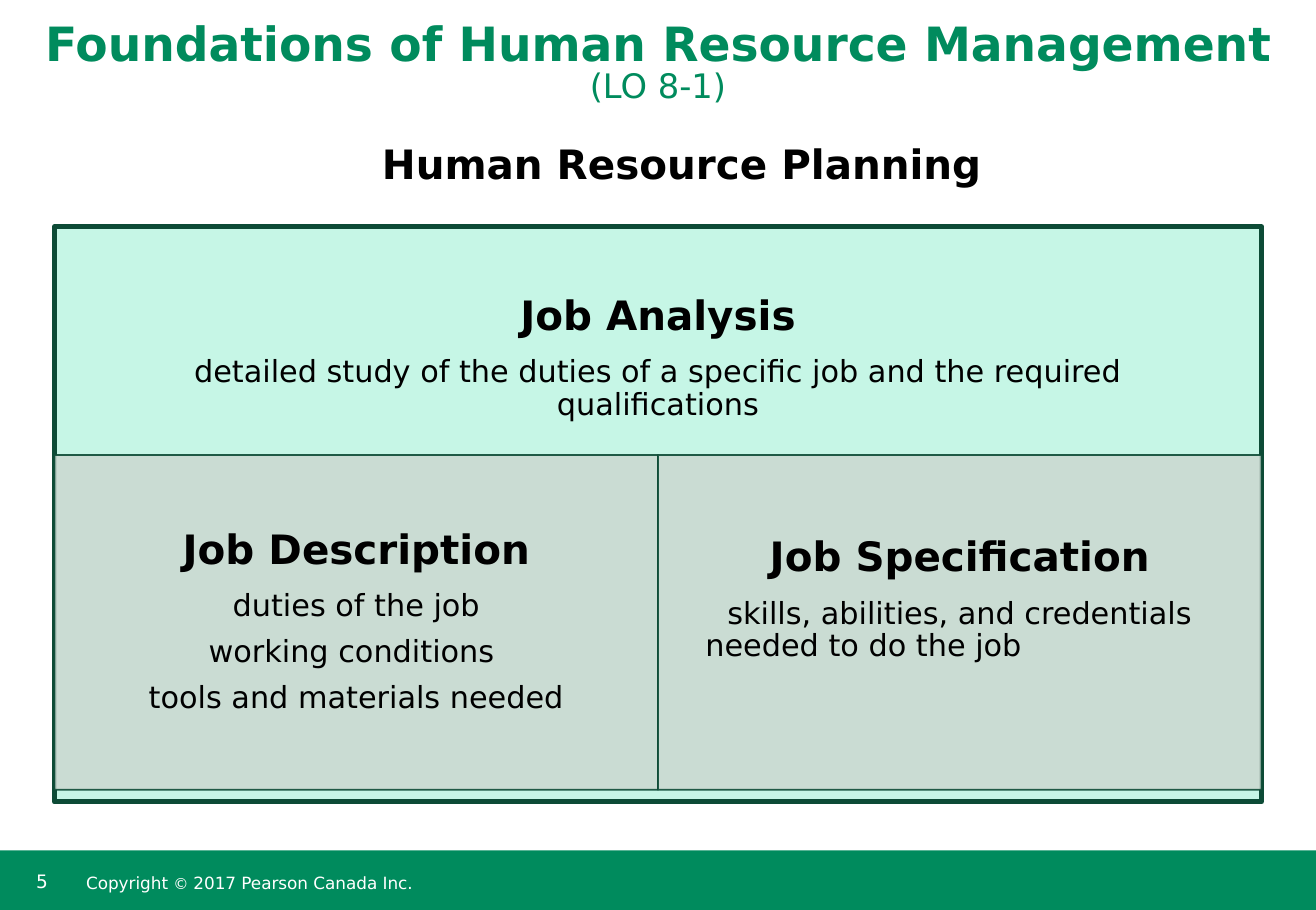
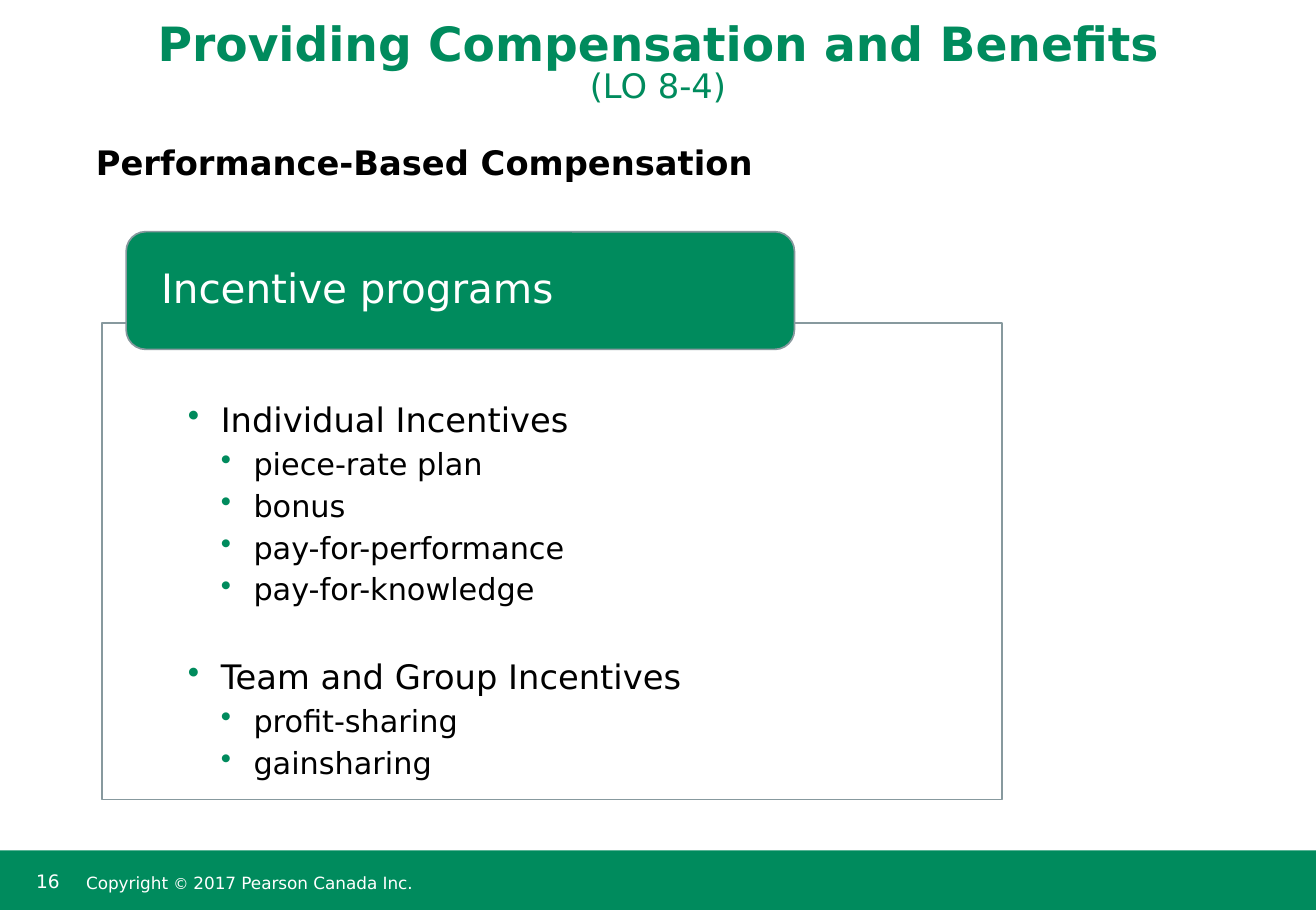
from lxml import etree
from pptx import Presentation
from pptx import util as u
from pptx.dml.color import RGBColor
from pptx.enum import shapes, text
from pptx.oxml.ns import qn

W, H = 10.85, 7.5
FONT = "DejaVu Sans"
GREEN, DARK, MINT, SAGE = "008B5D", "0D4B36", "C6F6E6", "CBDAD2"
GREY, BLACK, WHITE = "87999E", "000000", "FFFFFF"
C, L = text.PP_ALIGN.CENTER, text.PP_ALIGN.LEFT
TOP, MIDDLE, BOTTOM = text.MSO_ANCHOR.TOP, text.MSO_ANCHOR.MIDDLE, text.MSO_ANCHOR.BOTTOM
RECT, ROUND = shapes.MSO_SHAPE.RECTANGLE, shapes.MSO_SHAPE.ROUNDED_RECTANGLE

MARGIN = 0.45
GRID_W = W - 2 * MARGIN
HALF = GRID_W / 2
BAND_TOP, BAND_H = 7.01, 0.5
PAD = (0.1, 0.05, 0.1, 0.05)

HEAD = {"size": 24, "bold": True, "align": C, "spacing": 0.9, "after": 10.5}
LINE = {"size": 18, "align": C, "spacing": 0.9, "after": 7.9}
LEVELS = [{"size": size, "spacing": 0.85, "after": 6.5, "bullet": GREEN,
           "left": 0.27 * (i + 1), "first": -0.27} for i, size in enumerate((20, 18))]

COPYRIGHT = [("Copyright ", 10), ("© ", 9), ("2017 Pearson Canada Inc.", 10)]
JOB_ANALYSIS = [
    ("Job Analysis", HEAD),
    ("detailed study of the duties of a specific job and the required qualifications", LINE)]
JOB_BOXES = [
    ([("Job Description", HEAD), ("duties of the job", LINE),
      ("working conditions ", LINE), ("tools and materials needed", LINE)],
     (0.25, 0.04, 0.25, 0.04)),
    ([("Job Specification", HEAD),
      ("skills, abilities, and credentials", {**LINE, "after": 0}),
      ("needed to do the job", {**LINE, "align": L, "left": 0.15})],
     (0.24, 0.04, 0.24, 0.41))]
INCENTIVES = [
    ("Individual Incentives",
     ["piece-rate plan", "bonus", "pay-for-performance", "pay-for-knowledge"]),
    ("Team and Group Incentives", ["profit-sharing", "gainsharing"])]
GROUP_GAP = 26.3


def rgb(value):
    return RGBColor.from_string(value)


def add_run(p, words, size, color=BLACK, bold=False):
    r = p.add_run()
    r.text = words
    for name, value in {"name": FONT, "size": u.Pt(size), "bold": bold}.items():
        setattr(r.font, name, value)
    r.font.color.rgb = rgb(color)


def format_paragraph(p, fmt):
    pPr = p._p.get_or_add_pPr()
    pPr.set("marL", str(u.Inches(fmt.get("left", 0))))
    pPr.set("indent", str(u.Inches(fmt.get("first", 0))))
    if "bullet" in fmt:
        clr = etree.SubElement(pPr, qn("a:buClr"))
        etree.SubElement(clr, qn("a:srgbClr")).set("val", fmt["bullet"])
        etree.SubElement(pPr, qn("a:buChar")).set("char", "•")
    else:
        etree.SubElement(pPr, qn("a:buNone"))
    values = {"alignment": fmt.get("align", L), "line_spacing": fmt.get("spacing", 1.0),
              "space_before": u.Pt(fmt.get("before", 0)),
              "space_after": u.Pt(fmt.get("after", 0))}
    for name, value in values.items():
        setattr(p, name, value)


def set_frame(sp, anchor=TOP, insets=PAD):
    tf = sp.text_frame
    values = {"word_wrap": True, "auto_size": text.MSO_AUTO_SIZE.NONE, "vertical_anchor": anchor}
    sides = ("margin_left", "margin_top", "margin_right", "margin_bottom")
    values.update(zip(sides, map(u.Inches, insets)))
    for name, value in values.items():
        setattr(tf, name, value)
    return tf


def write(sp, lines, anchor=TOP, insets=PAD):
    tf = set_frame(sp, anchor, insets)
    for i, (words, fmt) in enumerate(lines):
        p = tf.add_paragraph() if i else tf.paragraphs[0]
        format_paragraph(p, fmt)
        add_run(p, words, fmt["size"], fmt.get("color", BLACK), fmt.get("bold", False))


def place(sp, box):
    for name, value in zip(("left", "top", "width", "height"), box):
        setattr(sp, name, u.Inches(value))


def add_box(slide, box, fill, line=None, weight=1, kind=RECT, alpha=None):
    sp = slide.shapes.add_shape(kind, *map(u.Inches, box))
    sp.shadow.inherit = False
    sp.fill.solid()
    sp.fill.fore_color.rgb = rgb(fill)
    if line:
        sp.line.color.rgb = rgb(line)
        sp.line.width = u.Pt(weight)
    else:
        sp.line.fill.background()
    if alpha:
        for clr in sp._element.spPr.iter(qn("a:srgbClr")):
            etree.SubElement(clr, qn("a:alpha")).set("val", str(alpha * 1000))
    return sp


def add_text_box(slide, box):
    return slide.shapes.add_textbox(*map(u.Inches, box))


def add_footer_to_layout(slide, layout):
    band = add_box(slide, (0, BAND_TOP, W, BAND_H), GREEN)
    note = add_text_box(slide, (0.66, BAND_TOP, 5.78, BAND_H))
    p = set_frame(note, MIDDLE, (0.05, 0.1, 0.05, 0.05)).paragraphs[0]
    format_paragraph(p, {"spacing": 0.85})
    for words, size in COPYRIGHT:
        add_run(p, words, size, WHITE)
    for i, sp in enumerate((band, note)):
        sp._element.nvSpPr.cNvPr.set("id", str(20 + i))
        layout.shapes._spTree.insert(2 + i, sp._element)


def new_slide(prs, layout, number, title, objective, heading, box, fmt):
    slide = prs.slides.add_slide(layout)
    p = set_frame(slide.shapes.title, BOTTOM).paragraphs[0]
    format_paragraph(p, {"align": C, "spacing": 0.85, "after": 6.5})
    add_run(p, title, 28, GREEN, True)
    p.add_line_break()
    add_run(p, objective, 20, GREEN)
    body = slide.placeholders[1]
    place(body, box)
    write(body, [(heading, {"bold": True, "align": C, "after": 6.5, **fmt})])
    write(add_text_box(slide, (0.2, 7.12, 0.47, 0.32)),
          [(number, {"size": 11, "color": WHITE})])
    return slide


def draw_planning(slide):
    panel = add_box(slide, (MARGIN, 1.87, GRID_W, 4.74), MINT, DARK, 3)
    write(panel, JOB_ANALYSIS, MIDDLE, (0.31, 0.31, 0.31, 2.88))
    for col, (lines, insets) in enumerate(JOB_BOXES):
        cell = add_box(slide, (MARGIN + col * HALF, 3.75, HALF, 2.76), SAGE, DARK, alpha=90)
        write(cell, lines, MIDDLE, insets)


def draw_incentives(slide):
    lines = []
    for i, (group, items) in enumerate(INCENTIVES):
        lines.append((group, {**LEVELS[0], "before": GROUP_GAP if i else 0}))
        lines += [(item, LEVELS[1]) for item in items]
    panel = add_box(slide, (0.84, 2.66, 7.42, 3.93), WHITE, GREY)
    write(panel, lines, TOP, (0.71, 0.68, 0.71, 0.23))
    tab = add_box(slide, (1.04, 1.91, 5.51, 0.97), GREEN, GREY, kind=ROUND)
    write(tab, [("Incentive programs", {"size": 24, "color": WHITE, "spacing": 0.9})],
          MIDDLE, (0.24, 0.05, 0.24, 0.05))


def main():
    prs = Presentation()
    prs.slide_width, prs.slide_height = u.Inches(W), u.Inches(H)
    layout = prs.slide_layouts[1]
    place(layout.placeholders[0], (0, 0, W, 0.92))
    planning = new_slide(prs, layout, "5", "Foundations of Human Resource Management",
                         "(LO 8-1)", "Human Resource Planning", (0.6, 1.19, 10.04, 0.5),
                         {"size": 24, "spacing": 0.75})
    add_footer_to_layout(planning, layout)
    draw_planning(planning)
    incentives = new_slide(prs, layout, "16", "Providing Compensation and Benefits",
                           "(LO 8-4)", "Performance-Based Compensation",
                           (MARGIN, 1.17, 6.1, 0.75), {"size": 20, "spacing": 0.85})
    draw_incentives(incentives)
    prs.save("out.pptx")


if __name__ == "__main__":
    main()
